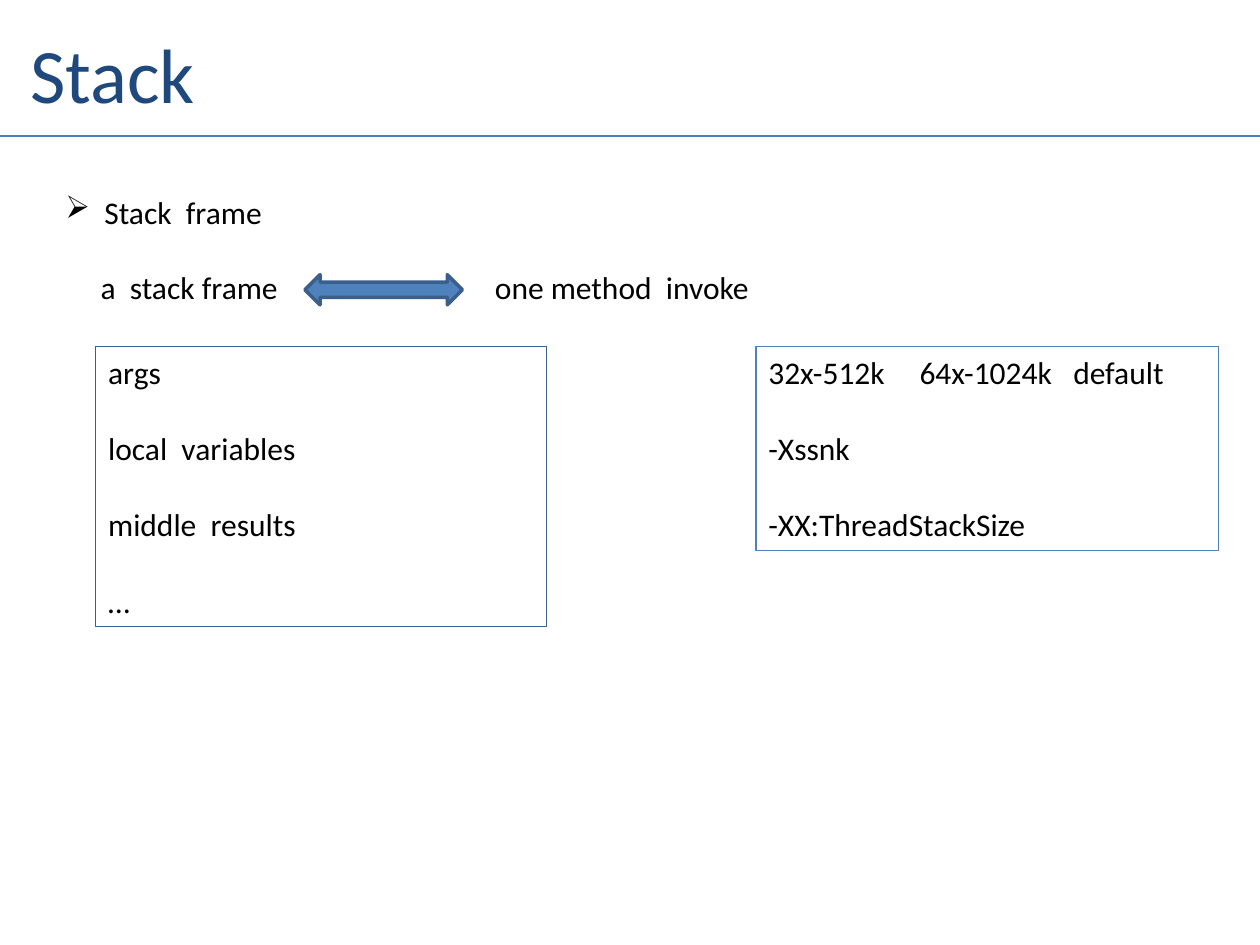
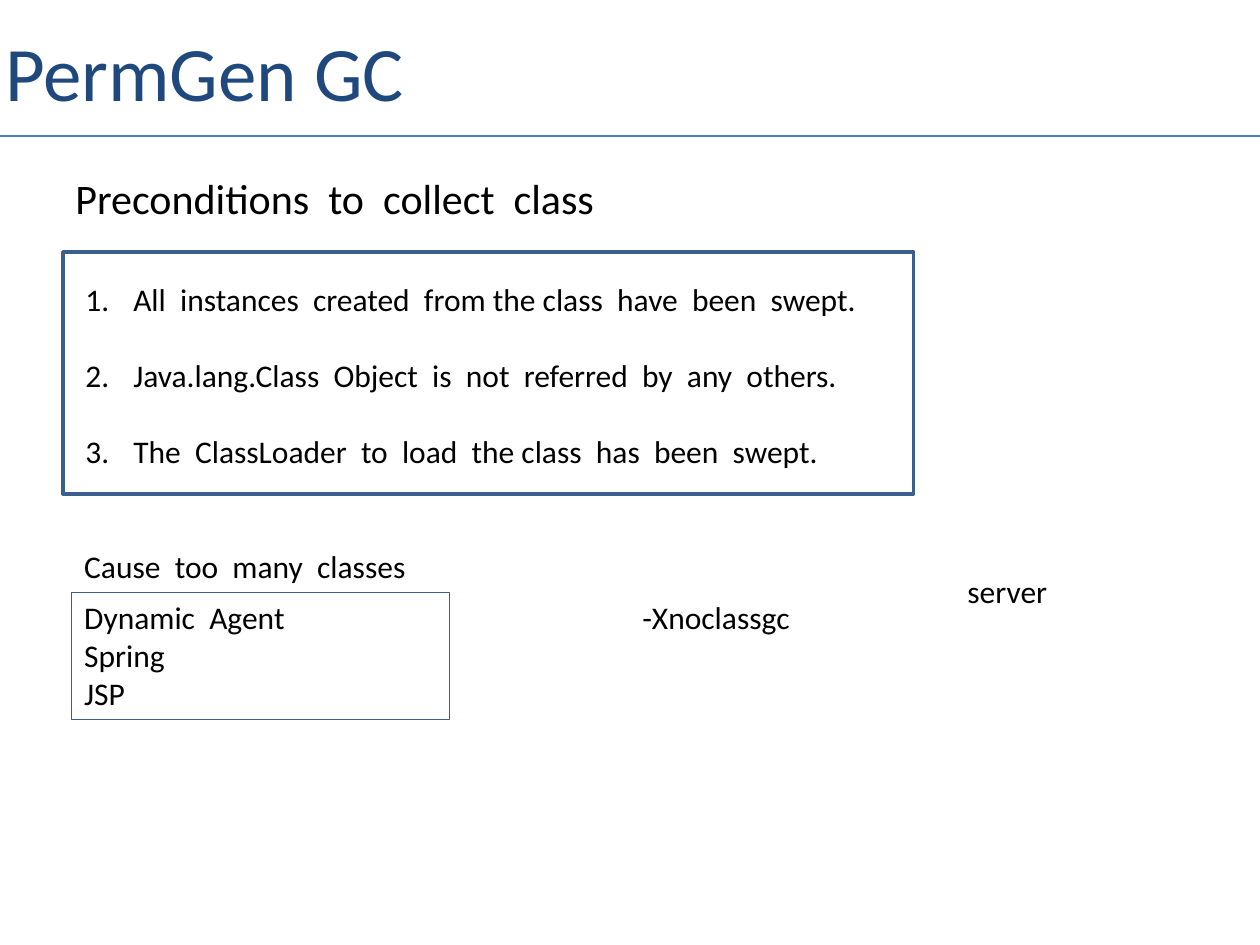
import pptx
import pptx.util
import pptx.dml.color
import pptx.enum.shapes
import pptx.enum.text
import pptx.oxml.ns
import lxml.etree

Inches = pptx.util.Inches
Pt = pptx.util.Pt
RGBColor = pptx.dml.color.RGBColor
Shape = pptx.enum.shapes.MSO_SHAPE
qn = pptx.oxml.ns.qn

NAVY = RGBColor(0x1F, 0x49, 0x7D)
RULE_BLUE = RGBColor(0x4B, 0x7E, 0xBC)
BLUE = RGBColor(0x4F, 0x81, 0xBD)
EDGE_BLUE = RGBColor(0x3A, 0x5F, 0x8C)
BLACK = RGBColor(0, 0, 0)
WHITE = RGBColor(255, 255, 255)
FONT = "Calibri"
BLANK_LINE = 22

ARROW_BULLET = ("buChar", {"char": "➢"}, 0.31)
NUMBERS = ("buAutoNum", {"type": "arabicPeriod"}, 0.38)

SLIDES = [
    {
        "title": ("Stack", 0.24, 0.01),
        "shapes": [
            {"at": (2.42, 2.18, 1.25, 0.24), "preset": Shape.LEFT_RIGHT_ARROW,
             "fill": BLUE, "edge": (EDGE_BLUE, 2)},
        ],
        "texts": [
            {"at": (0.42, 1.48, 3.58, 0.4), "lines": ["Stack  frame"], "bullet": ARROW_BULLET},
            {"at": (0.7, 2.08, 1.7, 0.4), "lines": ["a  stack frame"]},
            {"at": (3.83, 2.08, 2.42, 0.4), "lines": ["one method  invoke"]},
            {"at": (0.76, 2.75, 3.58, 2.22), "edge": (EDGE_BLUE, 0.75), "gap": BLANK_LINE,
             "lines": ["args", "local  variables", "middle  results", "…"]},
            {"at": (6, 2.75, 3.67, 1.62), "edge": (BLUE, 0.75), "gap": BLANK_LINE,
             "tabs": (1.2, 2.42),
             "lines": ["32x-512k\t64x-1024k\tdefault", "-Xssnk", "-XX:ThreadStackSize"]},
        ],
    },
    {
        "title": ("PermGen GC", 0.04, -0.01),
        "shapes": [
            {"at": (0.5, 2, 6.75, 1.92), "preset": Shape.RECTANGLE,
             "fill": WHITE, "edge": (EDGE_BLUE, 2)},
        ],
        "texts": [
            {"at": (0.5, 1.32, 5.08, 0.5), "size": 24,
             "lines": ["Preconditions  to  collect  class"]},
            {"at": (0.58, 2.17, 7.17, 1.92), "bullet": NUMBERS, "gap": BLANK_LINE,
             "lines": ["All  instances  created  from the class  have  been  swept.",
                       "Java.lang.Class  Object  is  not  referred  by  any  others.",
                       "The  ClassLoader  to  load  the class  has  been  swept."]},
            {"at": (0.57, 4.7, 3, 1.01), "edge": (EDGE_BLUE, 0.75),
             "lines": ["Dynamic  Agent", "Spring", "JSP"]},
            {"at": (5, 4.7, 2, 0.4), "lines": ["-Xnoclassgc"]},
            {"at": (0.57, 4.29, 3.31, 0.4), "lines": ["Cause  too  many  classes"]},
            {"at": (7.58, 4.49, 1.17, 0.42), "lines": ["server"]},
        ],
    },
]


def add_run(paragraph, words, size, color):
    run = paragraph.add_run()
    run.text = words
    run.font.name = FONT
    run.font.size = Pt(size)
    run.font.color.rgb = color


def set_edge(line, edge):
    color, width = edge
    line.color.rgb = color
    line.width = Pt(width)


def add_heading(slide, words, left, top):
    title = slide.shapes.title
    title.left, title.top = Inches(left), Inches(top)
    title.width, title.height = Inches(9), Inches(1.14)
    frame = title.text_frame
    frame.margin_left = 0
    frame.vertical_anchor = pptx.enum.text.MSO_ANCHOR.MIDDLE
    paragraph = frame.paragraphs[0]
    paragraph.alignment = pptx.enum.text.PP_ALIGN.LEFT
    add_run(paragraph, words, 44, NAVY)

    rule = slide.shapes.add_connector(
        pptx.enum.shapes.MSO_CONNECTOR.STRAIGHT, 0, Inches(1.08), Inches(10), Inches(1.08))
    set_edge(rule.line, (RULE_BLUE, 0.75))
    lxml.etree.SubElement(rule._element.spPr, qn("a:effectLst"))


def add_shape(slide, at, preset, fill, edge):
    shape = slide.shapes.add_shape(preset, *map(Inches, at))
    shape.shadow.inherit = False
    shape.fill.solid()
    shape.fill.fore_color.rgb = fill
    set_edge(shape.line, edge)


def add_text(slide, at, lines, size=18, edge=None, bullet=None, gap=0, tabs=()):
    box = slide.shapes.add_textbox(*map(Inches, at))
    if edge:
        set_edge(box.line, edge)
    frame = box.text_frame
    frame.word_wrap = True
    for index, words in enumerate(lines):
        paragraph = frame.add_paragraph() if index else frame.paragraphs[0]
        paragraph.space_before = Pt(gap if index else 0)
        add_run(paragraph, words, size, BLACK)
        properties = paragraph._p.get_or_add_pPr()
        if bullet:
            tag, attributes, indent = bullet
            properties.set("marL", str(Inches(indent)))
            properties.set("indent", str(-Inches(indent)))
            lxml.etree.SubElement(properties, qn("a:" + tag), attributes)
        if tabs:
            stops = lxml.etree.SubElement(properties, qn("a:tabLst"))
            for stop in tabs:
                lxml.etree.SubElement(stops, qn("a:tab"), pos=str(Inches(stop)), algn="l")


def main():
    deck = pptx.Presentation()
    deck.slide_width, deck.slide_height = Inches(10), Inches(7.5)
    for content in SLIDES:
        slide = deck.slides.add_slide(deck.slide_layouts[5])
        add_heading(slide, *content["title"])
        for shape in content["shapes"]:
            add_shape(slide, **shape)
        for text in content["texts"]:
            add_text(slide, **text)
    deck.save("out.pptx")


if __name__ == "__main__":
    main()
